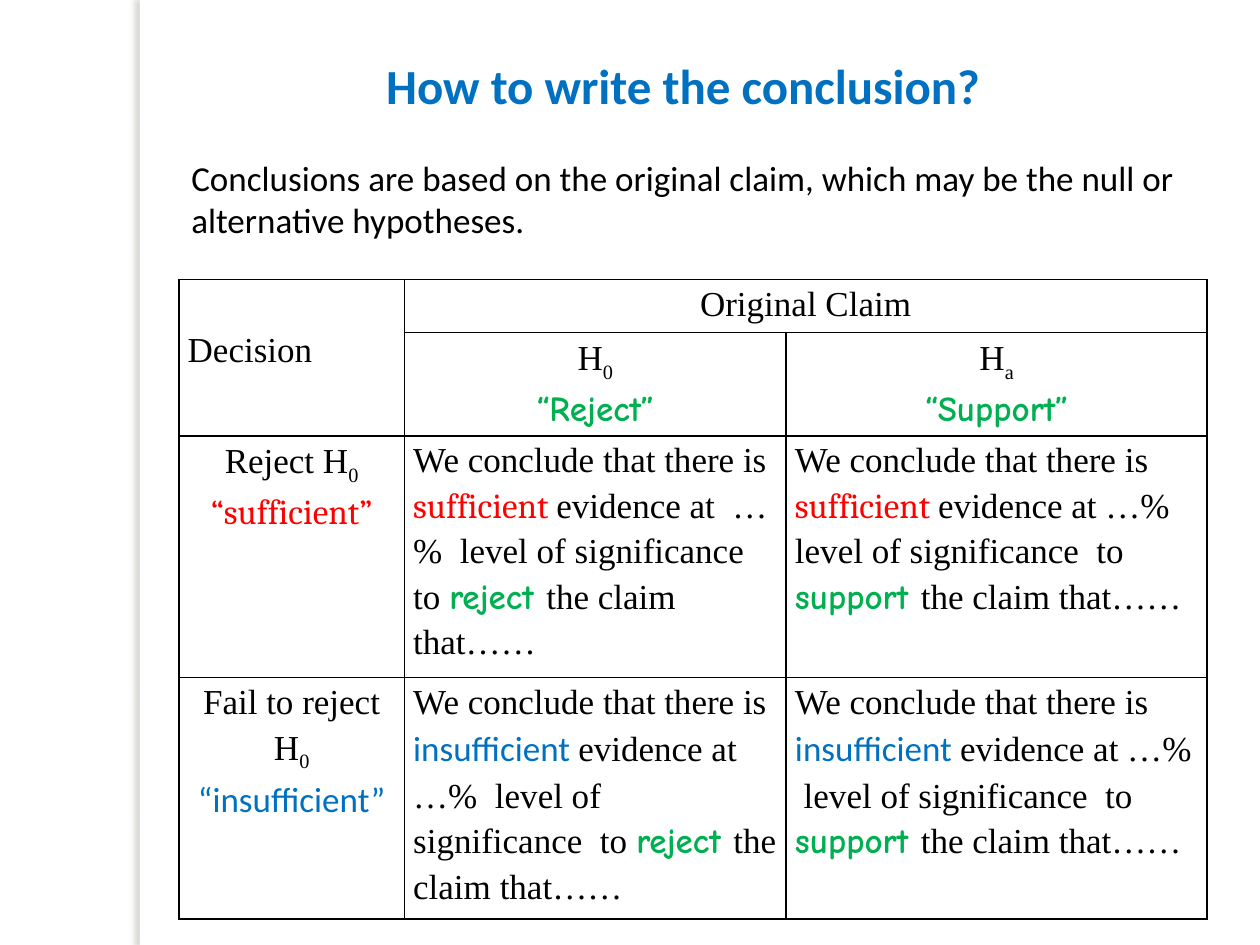
from lxml import etree
from pptx import Presentation
from pptx.dml.color import RGBColor
from pptx.enum import shapes, text
from pptx.oxml import ns
from pptx.util import Inches, Pt

COLORS = {"black": "000000", "white": "FFFFFF", "blue": "0070C0",
          "red": "FF0000", "green": "00B050", "shade": "736F63"}
STYLES = {
    "plain": ("Times New Roman", "black", False),
    "sub": ("Times New Roman", "black", False),
    "sufficient": ("Cambria", "red", False),
    "insufficient": ("Calibri", "blue", False),
    "verb": ("Comic Neue", "green", True),
    "title": ("Calibri", "blue", True),
    "body": ("Calibri", "black", False),
}
CENTER, LEFT = text.PP_ALIGN.CENTER, text.PP_ALIGN.LEFT


def add_run(p, words, style, size=20):
    name, color, bold = STYLES[style]
    r = p.add_run()
    r.text = words
    r.font.name, r.font.size, r.font.bold = name, Pt(size), bold
    r.font.color.rgb = RGBColor.from_string(COLORS[color])
    if style == "sub":
        r.font._element.set("baseline", "-25000")


def fill_cell(cell, paragraphs, align):
    for i, runs in enumerate(paragraphs):
        p = cell.text_frame.paragraphs[0] if i == 0 else cell.text_frame.add_paragraph()
        p.alignment, p.line_spacing = align, 1.15
        for words, style in runs:
            add_run(p, words, style)


prs = Presentation()
prs.slide_width, prs.slide_height = Inches(10), Inches(7.5)
W, H = prs.slide_width, prs.slide_height
left = int(W * 0.142)
s = prs.slides.add_slide(prs.slide_layouts[5])
s.background.fill.solid()
s.background.fill.fore_color.rgb = RGBColor.from_string(COLORS["white"])

strip = s.shapes.add_shape(shapes.MSO_SHAPE.RECTANGLE, int(W * 0.111), 0, int(W * 0.008), H)
strip.fill.solid()
strip.fill.fore_color.rgb = RGBColor.from_string(COLORS["white"])
strip.line.fill.background()
strip.shadow.inherit = False
effects = strip._element.spPr.find(ns.qn("a:effectLst"))
shadow = etree.SubElement(effects, ns.qn("a:outerShdw"), blurRad=str(Pt(3)),
                          dist=str(Pt(3)), dir="10800000", algn="tl", rotWithShape="0")
shade = etree.SubElement(shadow, ns.qn("a:srgbClr"), val=COLORS["shade"])
etree.SubElement(shade, ns.qn("a:alpha"), val="25000")

title = s.shapes.title
title.left, title.top, title.width, title.height = left, int(H * 0.05), int(W * 0.8), int(H * 0.08)
title.text_frame.vertical_anchor = text.MSO_ANCHOR.MIDDLE
p = title.text_frame.paragraphs[0]
p.alignment = CENTER
add_run(p, "How to write the conclusion?", "title", 28)

intro = s.shapes.add_textbox(left, int(H * 0.159), int(W * 0.8), int(H * 0.1))
intro.text_frame.word_wrap = True
add_run(intro.text_frame.paragraphs[0],
        "Conclusions are based on the original claim, which may be the null or alternative hypotheses.",
        "body")

col_shares = [0.179, 0.303, 0.334]
row_shares = [0.056, 0.1, 0.25, 0.25]
table = s.shapes.add_table(4, 3, left, int(H * 0.296), int(W * sum(col_shares)),
                           int(H * sum(row_shares))).table
table.first_row = table.horz_banding = False
for col, share in zip(table.columns, col_shares):
    col.width = int(W * share)
for row, share in zip(table.rows, row_shares):
    row.height = int(H * share)

for cell in table.iter_cells():
    cell.margin_left = cell.margin_right = Inches(0.07)
    cell.margin_top = cell.margin_bottom = 0
    tcPr = cell._tc.get_or_add_tcPr()
    for side in ("lnL", "lnR", "lnT", "lnB"):
        ln = etree.SubElement(tcPr, ns.qn("a:" + side), w=str(Pt(1)))
        solid = etree.SubElement(ln, ns.qn("a:solidFill"))
        etree.SubElement(solid, ns.qn("a:srgbClr"), val=COLORS["black"])
    cell.fill.background()

table.cell(0, 0).merge(table.cell(1, 0))
table.cell(0, 1).merge(table.cell(0, 2))
table.cell(0, 0).margin_top = Inches(0.36)
fill_cell(table.cell(0, 0), [[("Decision", "plain")]], LEFT)
fill_cell(table.cell(0, 1), [[("Original Claim", "plain")]], CENTER)

verbs = ["reject", "support"]
for c, (mark, verb) in enumerate(zip("0a", verbs), 1):
    fill_cell(table.cell(1, c), [[("H", "plain"), (mark, "sub")],
                                 [(f"“{verb.capitalize()}”", "verb")]], CENTER)

decisions = [
    ("Reject H", "sufficient", ["evidence at  …%  level of significance to ",
                                "evidence at …% level of significance  to "]),
    ("Fail to reject H", "insufficient", ["evidence at …%  level of significance  to "] * 2),
]
for r, (decision, strength, evidence) in enumerate(decisions, 2):
    fill_cell(table.cell(r, 0), [[(decision, "plain"), ("0", "sub")],
                                 [(f"“{strength}”", strength)]], CENTER)
    for c, (verb, phrase) in enumerate(zip(verbs, evidence), 1):
        fill_cell(table.cell(r, c), [[("We conclude that there is ", "plain"),
                                      (strength + " ", strength),
                                      (phrase, "plain"),
                                      (verb + " ", "verb"),
                                      ("the claim that……", "plain")]], LEFT)

prs.save("out.pptx")
